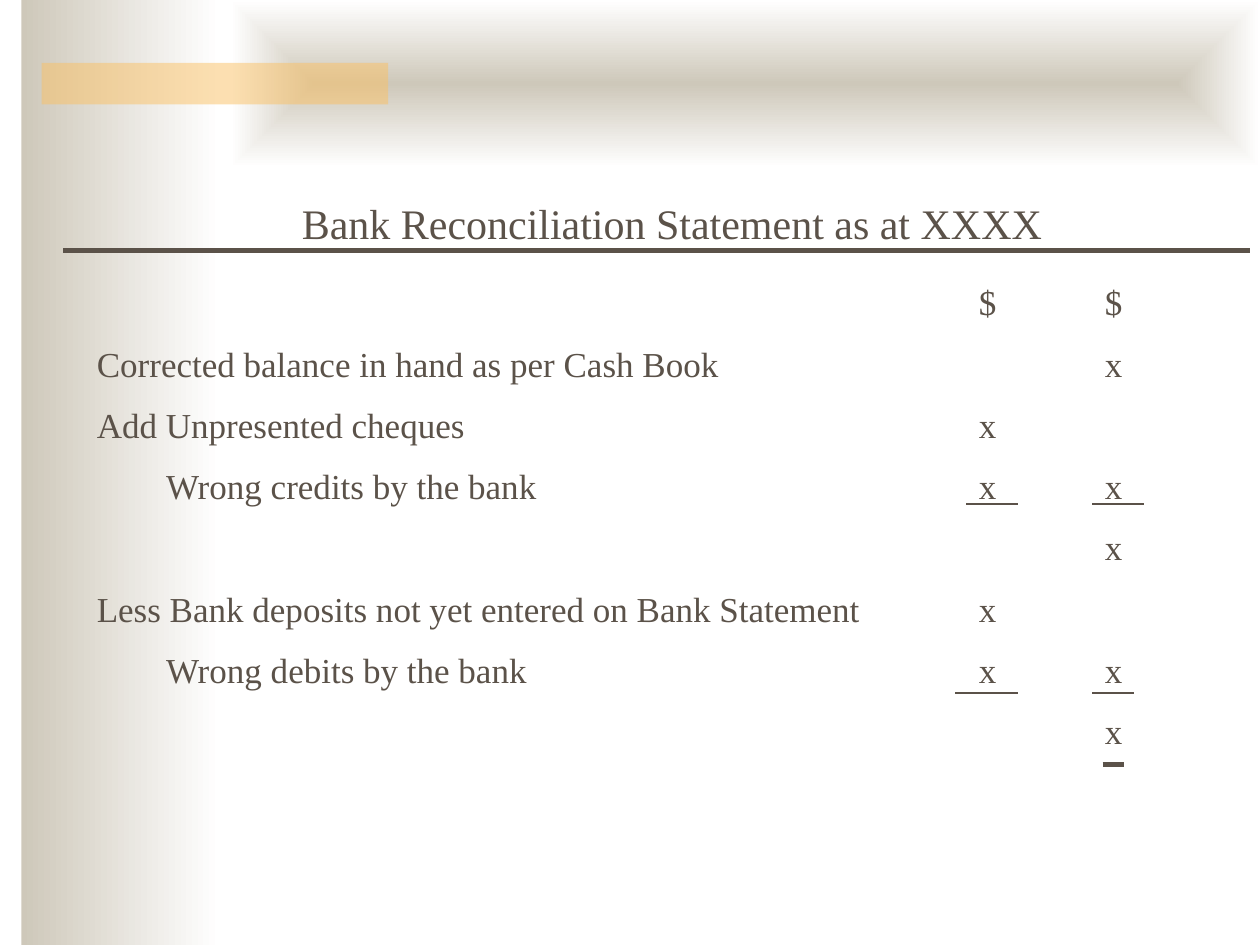
from lxml import etree
from pptx import Presentation
from pptx.dml.color import RGBColor
from pptx.enum import shapes, text
from pptx.oxml.ns import qn
from pptx.util import Inches, Pt

COLORS = {"ink": "5B5249", "stone": "CEC8BA", "white": "FFFFFF", "amber": "FAC164"}
FONT = "Times New Roman"
TITLE = "Bank Reconciliation Statement as at XXXX"
INDENT = 0.55
AMOUNT_STOPS = [7, 8]

STATEMENT = [
    (0, "", "$", "$"),
    (0, "Corrected balance in hand as per Cash Book", "", "x"),
    (0, "Add Unpresented cheques", "x", ""),
    (1, "Wrong credits by the bank", "x", "x"),
    (0, "", "", "x"),
    (0, "Less Bank deposits not yet entered on Bank Statement", "x", ""),
    (1, "Wrong debits by the bank", "x", "x"),
    (0, "", "", "x"),
]

RULES = [
    (0.5, 9.92, 1.99, 3),
    (8.75, 8.92, 6.07, 3),
    (7.67, 8.08, 4, 0.75),
    (8.67, 9.08, 4, 0.75),
    (7.58, 8.08, 5.5, 0.75),
    (8.67, 9, 5.5, 0.75),
]


def rgb(name):
    return RGBColor.from_string(COLORS[name])


def add_panel(slide, *box):
    panel = slide.shapes.add_shape(shapes.MSO_SHAPE.RECTANGLE, *map(Inches, box))
    panel.shadow.inherit = False
    panel.line.fill.background()
    return panel


def fade(panel):
    panel.fill.gradient()
    panel.fill.gradient_angle = 0
    for stop, name in zip(panel.fill.gradient_stops, ("stone", "white")):
        stop.color.rgb = rgb(name)
        stop.position = 0 if name == "stone" else 1


def fade_from_centre(panel):
    fade(panel)
    gradient = panel._element.spPr.find(qn("a:gradFill"))
    linear = gradient.find(qn("a:lin"))
    outward = etree.Element(qn("a:path"), {"path": "shape"})
    etree.SubElement(outward, qn("a:fillToRect"), dict.fromkeys("ltrb", "50000"))
    gradient.replace(linear, outward)


def add_frame(slide, *box):
    frame = slide.shapes.add_textbox(*map(Inches, box)).text_frame
    frame.word_wrap = True
    frame.margin_top = Inches(0.08)
    return frame


def add_words(paragraph, words, size):
    run = paragraph.add_run()
    run.text = words
    run.font.name = FONT
    run.font.size = Pt(size)
    run.font.color.rgb = rgb("ink")


def set_tabs(paragraph, stops):
    tabs = etree.SubElement(paragraph._p.get_or_add_pPr(), qn("a:tabLst"))
    for stop in stops:
        etree.SubElement(tabs, qn("a:tab"), pos=str(Inches(stop)), algn="l")


def add_rule(slide, start, end, y, width):
    rule = slide.shapes.add_connector(
        shapes.MSO_CONNECTOR.STRAIGHT, *map(Inches, (start, y, end, y)))
    rule.line.color.rgb = rgb("ink")
    rule.line.width = Pt(width)
    etree.SubElement(rule._element.spPr, qn("a:effectLst"))


def main():
    deck = Presentation()
    deck.slide_width, deck.slide_height = Inches(10), Inches(7.5)
    slide = deck.slides.add_slide(deck.slide_layouts[6])

    fade(add_panel(slide, 0.17, 0, 1.58, 7.5))
    fade_from_centre(add_panel(slide, 1.83, 0, 8.17, 1.33))
    accent = add_panel(slide, 0.33, 0.5, 2.75, 0.33)
    accent.fill.solid()
    accent.fill.fore_color.rgb = rgb("amber")
    tint = accent._element.spPr.find(qn("a:solidFill"))[0]
    etree.SubElement(tint, qn("a:alpha"), val="50000")

    heading = add_frame(slide, 1.92, 1.49, 6.83, 0.5).paragraphs[0]
    heading.alignment = text.PP_ALIGN.CENTER
    add_words(heading, TITLE, 24)

    body = add_frame(slide, 0.67, 2.15, 9.17, 3.93)
    for index, (level, label, detail, total) in enumerate(STATEMENT):
        entry = body.add_paragraph() if index else body.paragraphs[0]
        if index:
            entry.space_before = Pt(11)
        set_tabs(entry, [INDENT] * level + AMOUNT_STOPS)
        cells = "\t".join([label, detail, total]).rstrip("\t")
        add_words(entry, "\t" * level + cells, 20)

    for rule in RULES:
        add_rule(slide, *rule)

    deck.save("out.pptx")


if __name__ == "__main__":
    main()
